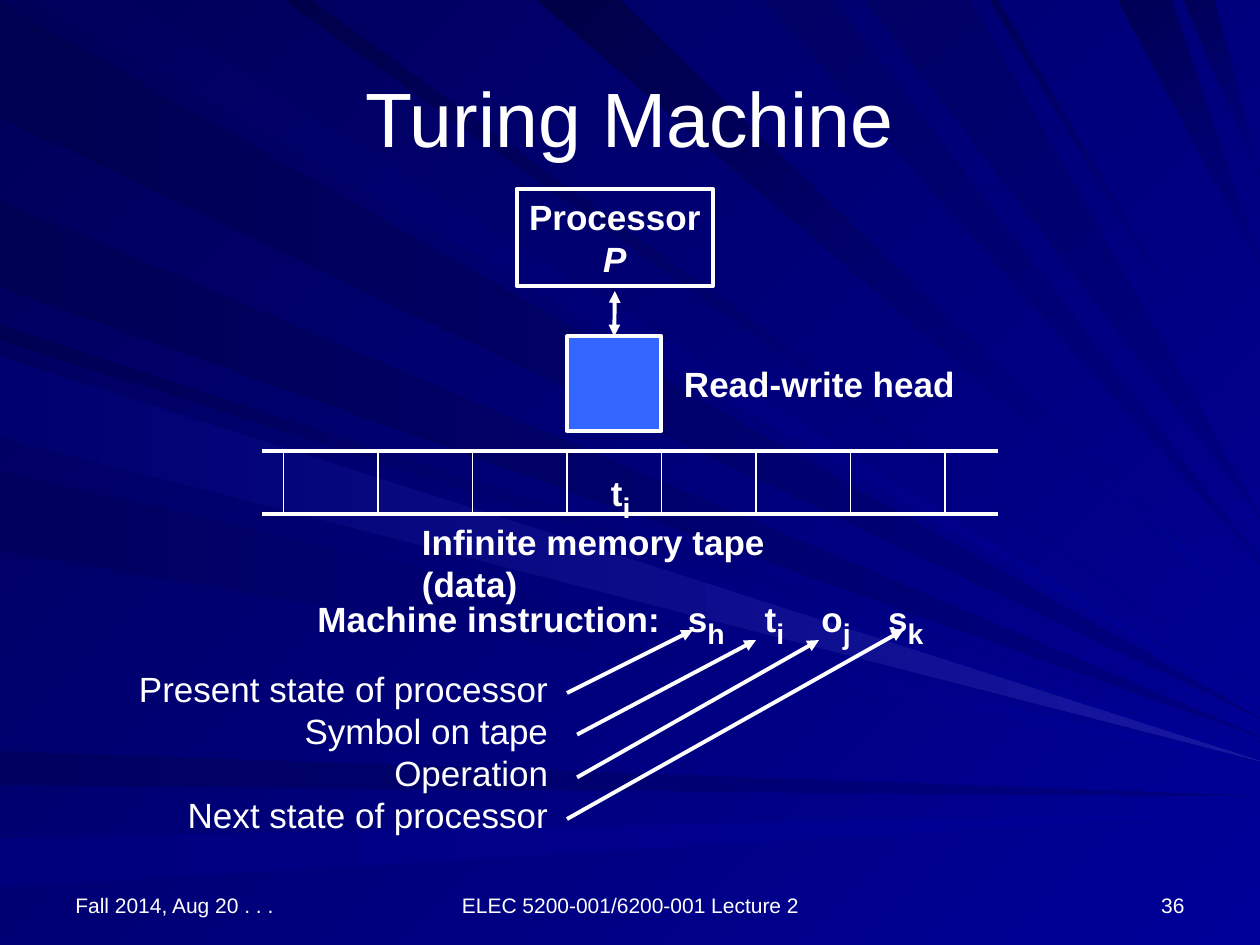
from lxml import etree
from pptx import Presentation
from pptx.dml.color import RGBColor
from pptx.enum.shapes import MSO_CONNECTOR, MSO_SHAPE
from pptx.enum.text import MSO_ANCHOR, PP_ALIGN
from pptx.oxml.ns import qn
from pptx.util import Inches, Pt

LEFT, CENTER, RIGHT = PP_ALIGN.LEFT, PP_ALIGN.CENTER, PP_ALIGN.RIGHT
TOP, MIDDLE, BOTTOM = MSO_ANCHOR.TOP, MSO_ANCHOR.MIDDLE, MSO_ANCHOR.BOTTOM
FONT, WHITE, HEAD_BLUE = "Arial", "FFFFFF", "3366FF"
THICK, THIN = 2.25, 0.75
SLIDE_WIDTH, SLIDE_HEIGHT = 10, 7.5

# Background rays: each runs from a span of the left or top edge
# to a height on the right edge, and fades between two colours
BACKGROUND = ("000058", "000099", 45)
LEFT_RAYS = [
    (0.02, 0.93, 5.7, "000051", "000080"),
    (5.96, 6.23, 6.32, "000061", "000080"),
    (6.65, 7.04, 6.45, "00007D", "000099"),
    (2.58, 2.7, 5.89, "000053", "000099"),
    (1.59, 2.28, 5.85, "000055", "000080"),
    (2.78, 3.42, 6, "000061", "000099"),
    (3.74, 4.37, 6.06, "00005D", "000099"),
    (2.83, 3.47, 6.04, "00006F", "1717A2"),
]
TOP_RAYS = [
    (0.26, 1.01, 5.63, "00005D", "000099"),
    (4.26, 4.92, 4.93, "000047", "000099"),
    (6.06, 6.61, 4.46, "000065", "000080"),
    (8.87, 9.3, 2.1, "000055", "000080"),
    (9.39, 9.64, 1.4, "000059", "000080"),
    (2.25, 2.47, 5.5, "00004A", "000099"),
    (6.86, 7.7, 4.1, "000065", "000080"),
    (7.85, 7.92, 3.57, "000058", "000099"),
]

# Text boxes: lines, (left, top, width, height), size, bold, alignment, anchor, wrap
# A line is a string, or a list of (text, subscript) pairs
TEXTS = [
    (["Fall 2014, Aug 20 . . ."], (0.5, 6.83, 2.33, 0.5), 12, False, LEFT, BOTTOM, True),
    (["ELEC 5200-001/6200-001 Lecture 2"], (3.42, 6.83, 3.17, 0.5), 12, False, CENTER, BOTTOM, True),
    (["36"], (7.17, 6.83, 2.33, 0.5), 12, False, RIGHT, BOTTOM, True),
    (["Turing Machine"], (0.5, 0.3, 9, 1.25), 44, False, CENTER, MIDDLE, True),
    (["Read-write head"], (5.33, 2.83, 2.35, 0.44), 20, True, LEFT, TOP, False),
    (["Infinite memory tape (data)"], (3.25, 4.08, 3.75, 0.44), 20, True, LEFT, TOP, False),
    ([[("t", "i")]], (4.75, 3.58, 0.6, 0.63), 20, True, LEFT, TOP, True),
    ([[("Machine instruction:\ts", "h"), ("\tt", "i"), ("\to", "j"), ("\ts", "k")]],
     (2.42, 4.58, 5.52, 0.63), 20, True, LEFT, TOP, True),
    (["Present state of processor", "Symbol on tape", "Operation", "Next state of processor"],
     (1, 5.25, 3.45, 1.44), 20, False, RIGHT, TOP, False),
]
SYMBOL_TABS = (2.94, 3.55, 4, 4.53)
SUBSCRIPT_SIZE = 28

TAPE_LEFT, TAPE_RIGHT, TAPE_TOP, TAPE_BOTTOM = 2.08, 7.92, 3.58, 4.08
FIRST_CELL, CELL_WIDTH, CELL_EDGES = 2.25, 0.75, 8
INSTRUCTION_ARROWS = [
    ((4.5, 5.5), (5.5, 5)),
    ((4.58, 5.83), (6, 5.08)),
    ((4.58, 6.17), (6.5, 5.08)),
    ((4.5, 6.5), (7.17, 5)),
]


def color(hex_text):
    return RGBColor.from_string(hex_text)


def paint(fill, start, end, angle):
    fill.gradient()
    fill.gradient_angle = -angle % 360
    for stop, shade in zip(fill.gradient_stops, (start, end)):
        stop.color.rgb = color(shade)


def add_ray(edge_start, edge_end, tip, start, end, angle):
    builder = slide.shapes.build_freeform(*map(Inches, edge_start))
    builder.add_line_segments([tuple(map(Inches, corner)) for corner in (edge_end, tip)], close=True)
    ray = builder.convert_to_shape()
    ray.shadow.inherit = False
    ray.line.fill.background()
    paint(ray.fill, start, end, angle)


def style(paragraph, size, bold, align):
    paragraph.alignment = align
    font = paragraph.font
    font.name, font.size, font.bold = FONT, Pt(size), bold
    font.color.rgb = color(WHITE)


def add_symbols(paragraph, symbols):
    for text, subscript in symbols:
        paragraph.add_run().text = text
        lowered = paragraph.add_run()
        lowered.text = subscript
        lowered.font.size = Pt(SUBSCRIPT_SIZE)
        lowered._r.get_or_add_rPr().set("baseline", "-25000")
    if len(symbols) > 1:
        tabs = etree.SubElement(paragraph._p.get_or_add_pPr(), qn("a:tabLst"))
        for position in SYMBOL_TABS:
            etree.SubElement(tabs, qn("a:tab"), pos=str(Inches(position)), algn="l")


def add_text(lines, box, size, bold, align, anchor, wrap):
    frame = slide.shapes.add_textbox(*map(Inches, box)).text_frame
    frame.word_wrap, frame.vertical_anchor = wrap, anchor
    for index, line in enumerate(lines):
        paragraph = frame.add_paragraph() if index else frame.paragraphs[0]
        if isinstance(line, str):
            paragraph.text = line
        else:
            add_symbols(paragraph, line)
        style(paragraph, size, bold, align)


def add_box(*box):
    rectangle = slide.shapes.add_shape(MSO_SHAPE.RECTANGLE, *map(Inches, box))
    rectangle.shadow.inherit = False
    rectangle.line.color.rgb = color(WHITE)
    rectangle.line.width = Pt(THICK)
    return rectangle


def add_line(start, end, width=THICK, arrowheads=()):
    line = slide.shapes.add_connector(MSO_CONNECTOR.STRAIGHT, *map(Inches, (*start, *end)))
    line.line.color.rgb = color(WHITE)
    line.line.width = Pt(width)
    for arrowhead in arrowheads:
        etree.SubElement(line.line._get_or_add_ln(), qn(f"a:{arrowhead}"), type="triangle")
    etree.SubElement(line._element.spPr, qn("a:effectLst"))
    return line


prs = Presentation()
prs.slide_width, prs.slide_height = Inches(SLIDE_WIDTH), Inches(SLIDE_HEIGHT)
slide = prs.slides.add_slide(prs.slide_layouts[6])

# Background
paint(slide.background.fill, *BACKGROUND)
for first, last, tip, *shades in LEFT_RAYS:
    add_ray((0, first), (0, last), (SLIDE_WIDTH, tip), *shades, 0)
for first, last, tip, *shades in TOP_RAYS:
    add_ray((first, 0), (last, 0), (SLIDE_WIDTH, tip), *shades, 45)

# Processor and read-write head
processor = add_box(4.1, 1.5, 1.56, 0.77)
processor.fill.background()
processor.text_frame.word_wrap = False
processor.text_frame.text = "Processor\nP"
for paragraph in processor.text_frame.paragraphs:
    style(paragraph, 20, True, CENTER)
processor.text_frame.paragraphs[1].font.italic = True
head = add_box(4.5, 2.67, 0.75, 0.75)
head.fill.solid()
head.fill.fore_color.rgb = color(HEAD_BLUE)
head_link = add_line((4.88, 2.31), (4.88, 2.67), arrowheads=("headEnd", "tailEnd"))
head_link.end_connect(head, 0)

# Memory tape
for y in (TAPE_TOP, TAPE_BOTTOM):
    add_line((TAPE_LEFT, y), (TAPE_RIGHT, y))
for cell in range(CELL_EDGES):
    x = FIRST_CELL + cell * CELL_WIDTH
    add_line((x, TAPE_TOP), (x, TAPE_BOTTOM), THIN)

# Texts, and arrows from each explanation to its symbol
for text in TEXTS:
    add_text(*text)
for start, end in INSTRUCTION_ARROWS:
    add_line(start, end, arrowheads=("tailEnd",))

prs.save("out.pptx")
